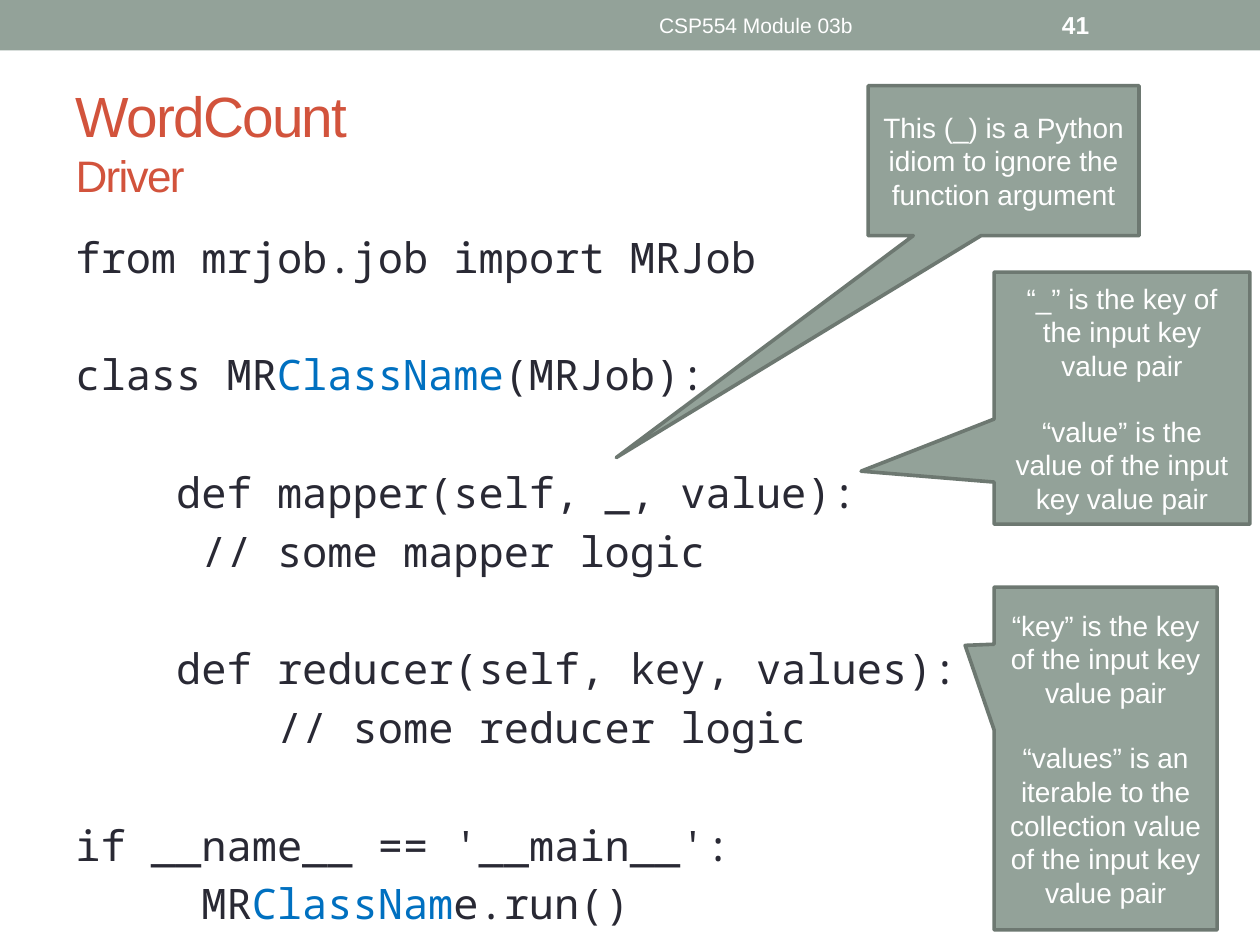
from pptx import Presentation
from pptx.dml.color import RGBColor
from pptx.enum.shapes import MSO_SHAPE
from pptx.enum.text import MSO_ANCHOR, MSO_AUTO_SIZE, PP_ALIGN
from pptx.util import Inches, Pt


def hue(code):
    return RGBColor.from_string(code)


def write(frame, text, size=16, font="Arial", color="FFFFFF", accent="0070C0",
          align=PP_ALIGN.CENTER, bold=False, before=0, pitch=None, track=0, para=None):
    if para is None:
        para = frame.paragraphs[0]
        if para.runs:
            para = frame.add_paragraph()
        para.alignment = align
        para.space_before = Pt(before)
        if pitch:
            para.line_spacing = Pt(pitch)
    for i, part in enumerate(text.split("|")):
        run = para.add_run()
        run.text = part
        run.font.size = Pt(size)
        run.font.name = font
        run.font.bold = bold
        run.font.color.rgb = hue(accent if i % 2 else color)
        if track:
            run._r.get_or_add_rPr().set("spc", str(track))
    return para


deck = Presentation()
deck.slide_width = Inches(10)
deck.slide_height = Inches(7.5)
slide = deck.slides.add_slide(deck.slide_layouts[5])
shapes = slide.shapes

bar = shapes.add_shape(MSO_SHAPE.RECTANGLE, 0, 0, Inches(10), Inches(0.4))
bar.shadow.inherit = False
bar.fill.solid()
bar.fill.fore_color.rgb = hue("93A299")
bar.line.fill.background()

title = shapes.title
title.left, title.top = Inches(0.5), Inches(0.58)
title.width, title.height = Inches(9), Inches(1.08)
frame = title.text_frame
frame.auto_size = MSO_AUTO_SIZE.NONE
frame.vertical_anchor = MSO_ANCHOR.MIDDLE
look = dict(color="D2533C", align=PP_ALIGN.LEFT, track=-100)
head = write(frame, "WordCount", size=32.4, **look)
head.add_line_break()
write(frame, "Driver", size=25.2, para=head, **look)

blocks = [
    ["from mrjob.job import MRJob"],
    ["class MR|ClassName|(MRJob):"],
    ["    def mapper(self, _, value):",
     "     // some mapper logic"],
    ["    def reducer(self, key, values):",
     "        // some reducer logic"],
    ["if __name__ == '__main__':",
     "     MR|ClassNam|e.run()"],
]
pitch = 33.6
code = shapes.add_textbox(Inches(0.5), Inches(1.75), Inches(9), Inches(5.33))
frame = code.text_frame
frame.word_wrap = True
frame.margin_top = Inches(0.02)
for b, block in enumerate(blocks):
    for n, line in enumerate(block):
        write(frame, line, size=24, font="Noto Sans Mono", color="292934",
              align=PP_ALIGN.LEFT, pitch=pitch, before=pitch if b and not n else 0)

for text, left, width, size, align, bold in [
    ("CSP554 Module 03b", 3.75, 4.5, 12, PP_ALIGN.CENTER, False),
    ("41", 8.33, 1.17, 14, PP_ALIGN.LEFT, True),
]:
    box = shapes.add_textbox(Inches(left), Inches(0.02), Inches(width), Inches(0.36))
    box.text_frame.word_wrap = True
    box.text_frame.vertical_anchor = MSO_ANCHOR.MIDDLE
    write(box.text_frame, text, size=size, align=align, bold=bold)

notes = [
    (6.89, 0.68, 2.15, 1.19, (-1.43, 1.98),
     ["This (_) is a Python idiom to ignore the function argument"]),
    (7.89, 2.16, 2.03, 2, (-1.02, 0.29),
     ["“_” is the key of the input key value pair",
      "“value” is the value of the input key value pair"]),
    (7.89, 4.66, 1.77, 2.72, (-0.63, -0.33),
     ["“key” is the key of the input key value pair",
      "“values” is an iterable to the collection value of the input key value pair"]),
]
for left, top, width, height, tip, lines in notes:
    note = shapes.add_shape(MSO_SHAPE.RECTANGULAR_CALLOUT, Inches(left), Inches(top),
                            Inches(width), Inches(height))
    note.shadow.inherit = False
    note.adjustments[0], note.adjustments[1] = tip
    note.fill.solid()
    note.fill.fore_color.rgb = hue("93A299")
    note.line.color.rgb = hue("6D7871")
    note.line.width = Pt(2.08)
    frame = note.text_frame
    frame.word_wrap = True
    frame.vertical_anchor = MSO_ANCHOR.MIDDLE
    for n, line in enumerate(lines):
        write(frame, line, before=18.4 * n)

deck.save("out.pptx")
